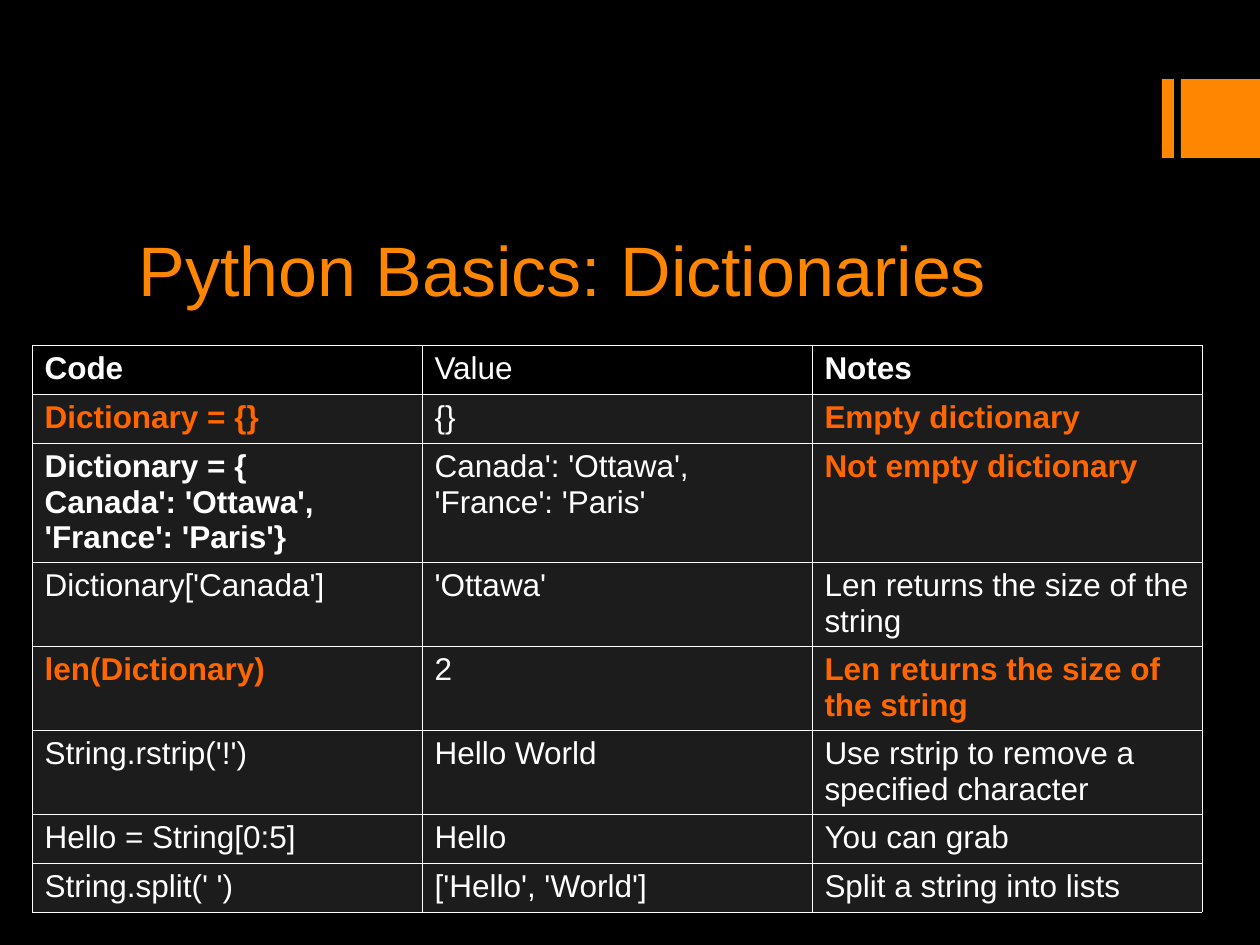
from dataclasses import dataclass

from lxml.etree import SubElement
from pptx import Presentation
from pptx.dml.color import RGBColor
from pptx.enum.shapes import MSO_SHAPE
from pptx.enum.text import MSO_ANCHOR, PP_ALIGN
from pptx.oxml.ns import qn
from pptx.slide import Slide
from pptx.table import _Cell
from pptx.util import Emu, Pt

EMU_PER_PX = 914400 // 126


def px(length: int) -> Emu:
    return Emu(length * EMU_PER_PX)


@dataclass(frozen=True)
class Theme:
    font: str = "Arial"
    background: str = "000000"
    accent: str = "FF8600"
    highlight: str = "FF6600"
    text: str = "FFFFFF"
    body_fill: str = "1C1C1C"
    title_size: int = 40
    table_size: int = 18
    border_width: float = 0.06


@dataclass(frozen=True)
class Box:
    left: int
    top: int
    width: int
    height: int


@dataclass(frozen=True)
class Entry:
    text: str
    bold: bool = False
    color: str = Theme.text


@dataclass(frozen=True)
class Row:
    height: int
    entries: tuple[Entry, Entry, Entry]


THEME = Theme()


def strong(text: str) -> Entry:
    return Entry(text, bold=True)


def highlighted(text: str) -> Entry:
    return Entry(text, bold=True, color=THEME.highlight)


ONE_LINE, TWO_LINES, THREE_LINES = 49, 84, 119
COLUMN_WIDTH = 390
ACCENT_BARS = (Box(1162, 79, 12, 79), Box(1181, 79, 79, 79))
TITLE_BOX = Box(126, 213, 1008, 159)
ROWS = (
    Row(ONE_LINE, (strong("Code"), Entry("Value"), strong("Notes"))),
    Row(ONE_LINE, (highlighted("Dictionary = {}"), Entry("{}"), highlighted("Empty dictionary"))),
    Row(THREE_LINES, (
        strong("Dictionary = {\nCanada': 'Ottawa',\n'France': 'Paris'}"),
        Entry("Canada': 'Ottawa',\n'France': 'Paris'"),
        highlighted("Not empty dictionary"),
    )),
    Row(TWO_LINES, (
        Entry("Dictionary['Canada']"),
        Entry("'Ottawa'"),
        Entry("Len returns the size of the string"),
    )),
    Row(TWO_LINES, (
        highlighted("len(Dictionary)"),
        Entry("2"),
        highlighted("Len returns the size of the string"),
    )),
    Row(TWO_LINES, (
        Entry("String.rstrip('!')"),
        Entry("Hello World"),
        Entry("Use rstrip to remove a specified character"),
    )),
    Row(ONE_LINE, (Entry("Hello = String[0:5]"), Entry("Hello"), Entry("You can grab"))),
    Row(ONE_LINE, (
        Entry("String.split(' ')"),
        Entry("['Hello', 'World']"),
        Entry("Split a string into lists"),
    )),
)
TABLE_BOX = Box(32, 345, 3 * COLUMN_WIDTH, sum(row.height for row in ROWS))


def format_text(text_frame, size: int, color: str, bold: bool = False) -> None:
    for paragraph in text_frame.paragraphs:
        paragraph.alignment = PP_ALIGN.LEFT
        for run in paragraph.runs:
            run.font.name = THEME.font
            run.font.size = Pt(size)
            run.font.bold = bold
            run.font.color.rgb = RGBColor.from_string(color)


def draw_bar(slide: Slide, box: Box) -> None:
    shape = slide.shapes.add_shape(
        MSO_SHAPE.RECTANGLE, px(box.left), px(box.top), px(box.width), px(box.height)
    )
    shape.shadow.inherit = False
    shape.fill.solid()
    shape.fill.fore_color.rgb = RGBColor.from_string(THEME.accent)
    shape.line.fill.background()


def draw_title(slide: Slide, text: str, box: Box) -> None:
    title = slide.shapes.title
    title.left, title.top = px(box.left), px(box.top)
    title.width, title.height = px(box.width), px(box.height)
    text_frame = title.text_frame
    text_frame.text = text
    text_frame.word_wrap = True
    text_frame.vertical_anchor = MSO_ANCHOR.TOP
    text_frame.margin_top = px(14)
    format_text(text_frame, THEME.title_size, THEME.accent)


def add_borders(cell: _Cell) -> None:
    properties = cell._tc.get_or_add_tcPr()
    for position, side in enumerate(("a:lnL", "a:lnR", "a:lnT", "a:lnB")):
        line = SubElement(properties, qn(side), w=str(int(Pt(THEME.border_width))))
        fill = SubElement(line, qn("a:solidFill"))
        SubElement(fill, qn("a:srgbClr"), val=THEME.text)
        properties.insert(position, line)


def draw_cell(cell: _Cell, entry: Entry, fill: str) -> None:
    cell.text_frame.text = entry.text
    format_text(cell.text_frame, THEME.table_size, entry.color, entry.bold)
    cell.fill.solid()
    cell.fill.fore_color.rgb = RGBColor.from_string(fill)
    add_borders(cell)


def draw_table(slide: Slide, rows: tuple[Row, ...], box: Box) -> None:
    table = slide.shapes.add_table(
        len(rows), 3, px(box.left), px(box.top), px(box.width), px(box.height)
    ).table
    table.horz_banding = False
    for column in table.columns:
        column.width = px(COLUMN_WIDTH)
    for row_index, row in enumerate(rows):
        table.rows[row_index].height = px(row.height)
        fill = THEME.body_fill if row_index else THEME.background
        for column_index, entry in enumerate(row.entries):
            draw_cell(table.cell(row_index, column_index), entry, fill)


def main() -> None:
    presentation = Presentation()
    presentation.slide_width, presentation.slide_height = px(1260), px(945)
    slide = presentation.slides.add_slide(presentation.slide_layouts[5])
    slide.background.fill.solid()
    slide.background.fill.fore_color.rgb = RGBColor.from_string(THEME.background)
    for bar in ACCENT_BARS:
        draw_bar(slide, bar)
    draw_title(slide, "Python Basics: Dictionaries", TITLE_BOX)
    draw_table(slide, ROWS, TABLE_BOX)
    presentation.save("out.pptx")


if __name__ == "__main__":
    main()
